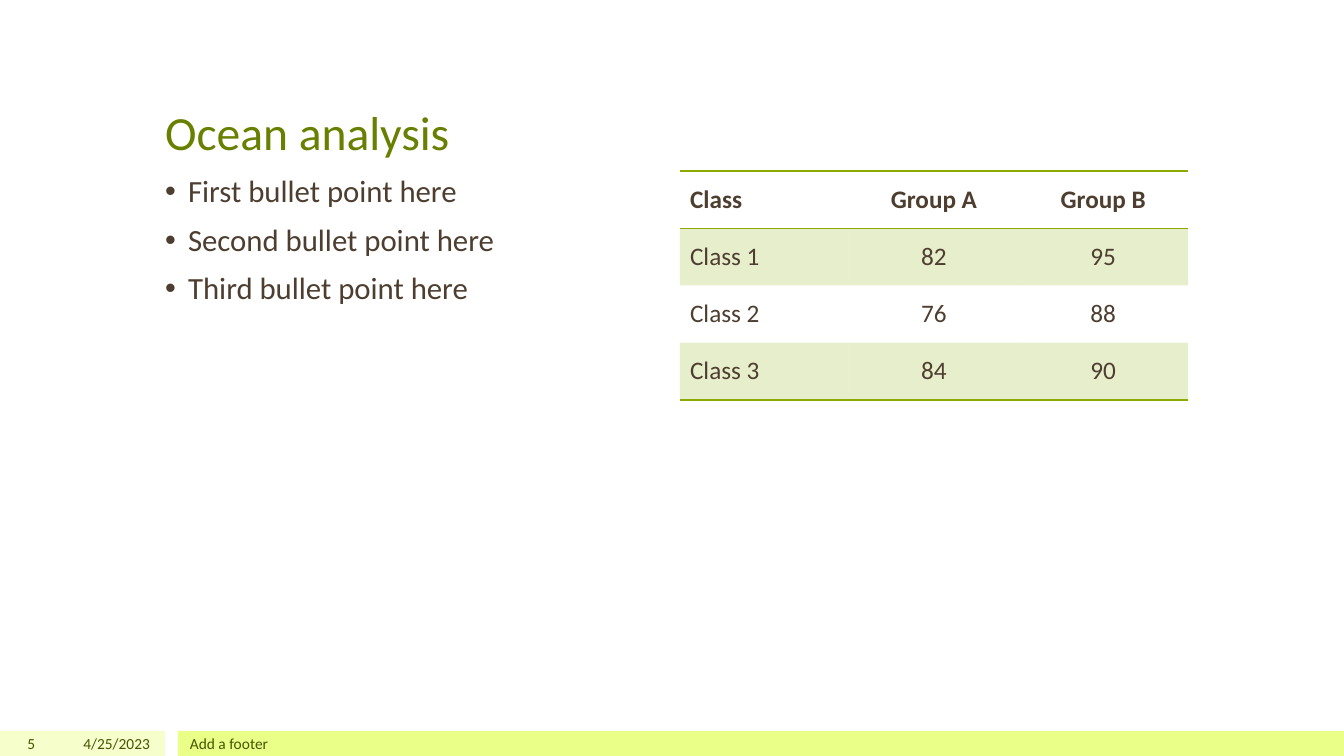
import lxml.etree
import pptx
import pptx.dml.color
import pptx.enum.shapes
import pptx.enum.text
import pptx.oxml
import pptx.oxml.ns
import pptx.util

PIXEL = 914400 / 100.8
FONT = "Calibri"
TITLE_GREEN = pptx.dml.color.RGBColor(0x68, 0x80, 0x00)
BROWN = pptx.dml.color.RGBColor(0x4D, 0x3E, 0x2F)
FOOTER_GREEN = pptx.dml.color.RGBColor(0x45, 0x55, 0x00)
PALE_LIME = pptx.dml.color.RGBColor(0xF6, 0xFF, 0xCC)
LIME = pptx.dml.color.RGBColor(0xE9, 0xFF, 0x88)
TABLE_GREEN = pptx.dml.color.RGBColor(0x8B, 0xAA, 0x00)
PLAIN_STYLE = "{2D5ABB26-0587-4C30-8999-92F81FD0307C}"
ALIGN = pptx.enum.text.PP_ALIGN
ANCHOR = pptx.enum.text.MSO_ANCHOR


def emu(pixels):
    """Turn pixels into EMU."""
    return pptx.util.Emu(round(pixels * PIXEL))


def place(shape, box):
    """Move a shape to a pixel box."""
    shape.left, shape.top, shape.width, shape.height = map(emu, box)


def write(para, text, size, color, align=ALIGN.LEFT, bold=False):
    """Add one formatted run to a paragraph."""
    para.alignment = align
    span = para.add_run()
    span.text = text
    span.font.name = FONT
    span.font.size = pptx.util.Pt(size)
    span.font.bold = bold
    span.font.color.rgb = color


def add_title(page, box, text):
    """Fill the title placeholder."""
    title = page.shapes.title
    place(title, box)
    frame = title.text_frame
    frame.vertical_anchor = ANCHOR.BOTTOM
    frame.margin_bottom = 0
    write(frame.paragraphs[0], text, 34, TITLE_GREEN)


def add_bullets(page, box, lines):
    """Fill the body placeholder with a bulleted list."""
    body = page.placeholders[1]
    place(body, box)
    frame = body.text_frame
    for index, line in enumerate(lines):
        para = frame.add_paragraph() if index else frame.paragraphs[0]
        write(para, line, 22, BROWN)
        para.line_spacing = 0.9
        para.space_before = pptx.util.Pt(11)
        props = para._p.get_or_add_pPr()
        props.set("marL", str(emu(23)))
        props.set("indent", str(emu(-23)))
        bullet = lxml.etree.SubElement(props, pptx.oxml.ns.qn("a:buChar"))
        bullet.set("char", "•")


def add_border(cell, side):
    """Draw a one-point line along the top (T) or bottom (B) of a cell."""
    line = pptx.oxml.parse_xml(
        f'<a:ln{side} {pptx.oxml.ns.nsdecls("a")} w="12700"><a:solidFill>'
        f'<a:srgbClr val="{TABLE_GREEN}"/></a:solidFill></a:ln{side}>')
    props = cell._tc.get_or_add_tcPr()
    props.insert(len(props.findall(pptx.oxml.ns.qn("a:lnT"))), line)


def tint(cell):
    """Fill a cell with green at 20 percent opacity."""
    cell.fill.solid()
    cell.fill.fore_color.rgb = TABLE_GREEN
    color = next(cell._tc.tcPr.iter(pptx.oxml.ns.qn("a:srgbClr")))
    lxml.etree.SubElement(color, pptx.oxml.ns.qn("a:alpha")).set("val", "20000")


def add_scores(page, box, rows):
    """Add the class table with a ruled header and tinted odd rows."""
    last = len(rows) - 1
    table = page.shapes.add_table(len(rows), len(rows[0]), *map(emu, box)).table
    table._tbl.tblPr.find(pptx.oxml.ns.qn("a:tableStyleId")).text = PLAIN_STYLE
    for r, values in enumerate(rows):
        for c, value in enumerate(values):
            cell = table.cell(r, c)
            cell.vertical_anchor = ANCHOR.MIDDLE
            align = ALIGN.CENTER if c else ALIGN.LEFT
            write(cell.text_frame.paragraphs[0], value, 18, BROWN, align, r == 0)
            if r % 2:
                tint(cell)
            else:
                cell.fill.background()
            if r == 0:
                add_border(cell, "T")
            if r in (0, last):
                add_border(cell, "B")


def add_footer(page, box, number, date, note):
    """Add the two footer bands and their texts."""
    left, top, width, height = box
    for offset, span_width, color in ((0, 165, PALE_LIME), (178, width - 178, LIME)):
        band = page.shapes.add_shape(
            pptx.enum.shapes.MSO_SHAPE.RECTANGLE,
            *map(emu, (left + offset, top, span_width, height)))
        band.shadow.inherit = False
        band.fill.solid()
        band.fill.fore_color.rgb = color
        band.line.fill.background()
    for text, offset, text_width, align in (
            (number, 0, 45, ALIGN.RIGHT),
            (date, 50, 110, ALIGN.RIGHT),
            (note, 180, 1008, ALIGN.LEFT)):
        label = page.shapes.add_textbox(
            *map(emu, (left + offset, top, text_width, height)))
        frame = label.text_frame
        frame.word_wrap = True
        frame.margin_top = frame.margin_bottom = 0
        frame.vertical_anchor = ANCHOR.MIDDLE
        write(frame.paragraphs[0], text, 11, FOOTER_GREEN, align)


def main():
    """Build and save the slide."""
    deck = pptx.Presentation()
    deck.slide_width, deck.slide_height = emu(1344), emu(756)
    page = deck.slides.add_slide(deck.slide_layouts[1])
    add_footer(page, (0, 731, 1344, 25), "5", "4/25/2023", "Add a footer")
    add_title(page, (155, 30, 1033, 130), "Ocean analysis")
    add_bullets(page, (155, 171, 508, 509), [
        "First bullet point here",
        "Second bullet point here",
        "Third bullet point here"])
    add_scores(page, (680, 171, 508, 229), [
        ("Class", "Group A", "Group B"),
        ("Class 1", "82", "95"),
        ("Class 2", "76", "88"),
        ("Class 3", "84", "90")])
    deck.save("out.pptx")


main()
